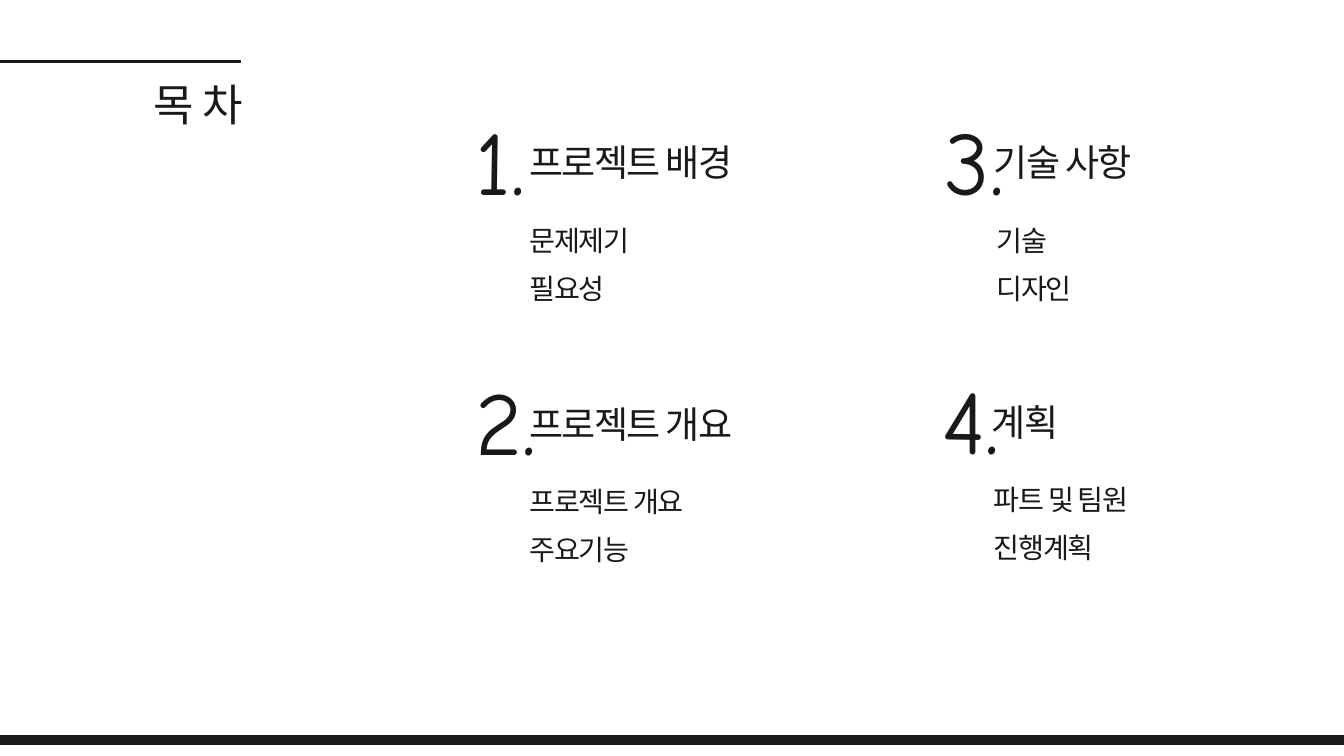
"""Build the table-of-contents slide with four numbered sections."""
from lxml import etree
from pptx import Presentation
from pptx.dml.color import RGBColor
from pptx.enum.shapes import MSO_CONNECTOR, MSO_SHAPE
from pptx.enum.text import MSO_ANCHOR, MSO_AUTO_SIZE, PP_ALIGN
from pptx.oxml.ns import qn
from pptx.util import Pt

INK = RGBColor(0x19, 0x19, 0x19)
WHITE = RGBColor(0xFF, 0xFF, 0xFF)
LEFT, RIGHT = PP_ALIGN.LEFT, PP_ALIGN.RIGHT
TOP = MSO_ANCHOR.TOP
NO_AUTOSIZE = MSO_AUTO_SIZE.NONE
RECTANGLE = MSO_SHAPE.RECTANGLE
STRAIGHT = MSO_CONNECTOR.STRAIGHT
COMPARISON_LAYOUT = 4

KOREAN = "Noto Sans CJK KR"
TITLE = {"name": KOREAN, "size": 47.1, "line": 65.9, "tracking": -70, "align": RIGHT}
HEADING = {"name": KOREAN, "size": 39.7, "line": 55.6, "tracking": -180, "align": LEFT}
TOPICS = {"name": KOREAN, "size": 30.2, "line": 51.4, "tracking": -140, "align": LEFT}
NUMBER = {"name": "Comic Neue", "size": 96.3, "line": 134.8, "tracking": 0, "align": LEFT}

SECTIONS = [
    ("프로젝트 배경", ["문제제기", "필요성"],
     (509.8, 94.3), (567.4, 141.8), (567.4, 223.9), 149.8),
    ("프로젝트 개요", ["프로젝트 개요", "주요기능"],
     (509.8, 373), (567.4, 421.9), (567.4, 503.3), 98.6),
    ("기술 사항", ["기술", "디자인"],
     (1012.3, 94.3), (1064.9, 141.8), (1067.8, 223.9), 98.6),
    ("계획", ["파트 및 팀원", "진행계획"],
     (1009.4, 371.5), (1062.7, 420.5), (1064.9, 501.8), 97.2),
]


def write_text(shape, box, lines, style):
    for name, value in zip(("left", "top", "width", "height"), box):
        setattr(shape, name, Pt(value))
    frame = shape.text_frame
    frame_format = {
        "margin_left": 0, "margin_top": 0, "margin_right": 0, "margin_bottom": 0,
        "word_wrap": True, "auto_size": NO_AUTOSIZE, "vertical_anchor": TOP,
    }
    for name, value in frame_format.items():
        setattr(frame, name, value)
    frame.text = "\n".join(lines)
    for paragraph in frame.paragraphs:
        properties = paragraph._p.get_or_add_pPr()
        properties.set("marL", "0")
        properties.set("indent", "0")
        etree.SubElement(properties, qn("a:buNone"))
        paragraph_format = {
            "alignment": style["align"], "line_spacing": Pt(style["line"]),
            "space_before": Pt(0), "space_after": Pt(0),
        }
        for name, value in paragraph_format.items():
            setattr(paragraph, name, value)
        run = paragraph.runs[0]
        font_format = {"name": style["name"], "size": Pt(style["size"]), "bold": False}
        for name, value in font_format.items():
            setattr(run.font, name, value)
        run.font.color.rgb = INK
        run_properties = run._r.get_or_add_rPr()
        run_properties.set("spc", str(style["tracking"]))
        etree.SubElement(run_properties, qn("a:ea"), typeface=style["name"])


presentation = Presentation()
presentation.slide_width = Pt(1440)
presentation.slide_height = Pt(810)
slide = presentation.slides.add_slide(presentation.slide_layouts[COMPARISON_LAYOUT])
slide.background.fill.solid()
slide.background.fill.fore_color.rgb = WHITE
shapes = slide.shapes

bottom_bar = shapes.add_shape(RECTANGLE, Pt(-23), Pt(788.4), Pt(1486), Pt(9.4))
bottom_bar.shadow.inherit = False
bottom_bar.fill.solid()
bottom_bar.fill.fore_color.rgb = INK
bottom_bar.line.color.rgb = INK
bottom_bar.line.width = Pt(1.5)

title_rule = shapes.add_connector(STRAIGHT, Pt(0), Pt(65.5), Pt(257.8), Pt(65.5))
title_rule.line.color.rgb = INK
title_rule.line.width = Pt(3)
etree.SubElement(title_rule._element.spPr, qn("a:effectLst"))

write_text(shapes.title, (88.6, 74.2, 172.1, 62.6), ["목 차"], TITLE)

topic_placeholders = list(slide.placeholders)[1:]
for index, (section, placeholder) in enumerate(zip(SECTIONS, topic_placeholders), 1):
    heading, topics, number_at, heading_at, topics_at, topics_height = section
    write_text(placeholder, (*topics_at, 190.1, topics_height), topics, TOPICS)
    heading_box = shapes.add_textbox(0, 0, 0, 0)
    write_text(heading_box, (*heading_at, 240.5, 53.3), [heading], HEADING)
    number_box = shapes.add_textbox(0, 0, 0, 0)
    write_text(number_box, (*number_at, 69.8, 129.6), [f"{index}."], NUMBER)

presentation.save("out.pptx")
